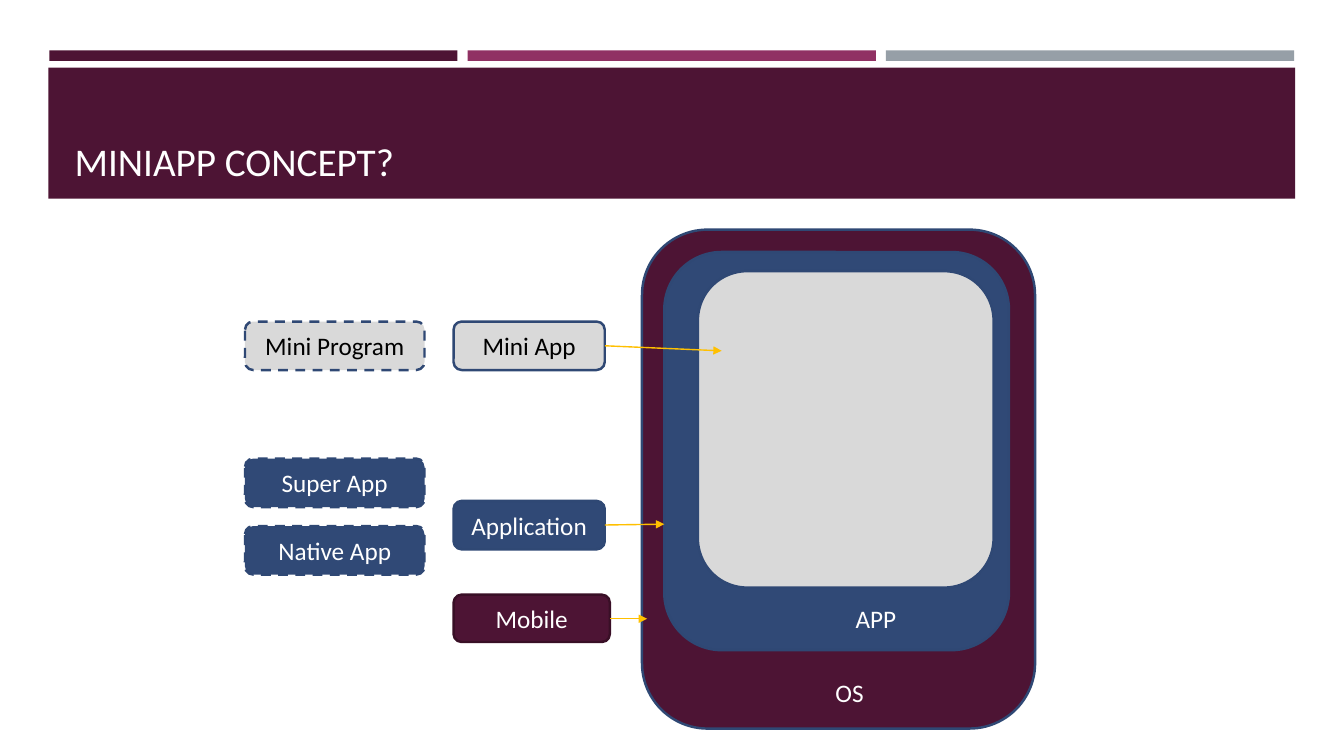
from dataclasses import dataclass

from lxml import etree
from pptx import Presentation
from pptx.dml.color import RGBColor
from pptx.enum.dml import MSO_LINE
from pptx.enum.shapes import MSO_CONNECTOR, MSO_SHAPE
from pptx.enum.text import MSO_ANCHOR, PP_ALIGN
from pptx.oxml.ns import qn
from pptx.util import Pt

RECT, ROUND = MSO_SHAPE.RECTANGLE, MSO_SHAPE.ROUNDED_RECTANGLE
STRAIGHT = MSO_CONNECTOR.STRAIGHT
DASH = MSO_LINE.DASH
MIDDLE, BOTTOM = MSO_ANCHOR.MIDDLE, MSO_ANCHOR.BOTTOM
LEFT, CENTER = PP_ALIGN.LEFT, PP_ALIGN.CENTER


@dataclass(frozen=True)
class Theme:
    plum: str = "4D1434"
    dark: str = "390F26"
    rose: str = "903163"
    slate: str = "969FA7"
    blue: str = "304976"
    edge: str = "2F4874"
    gray: str = "D9D9D9"
    gold: str = "FFC000"
    white: str = "FFFFFF"
    black: str = "000000"
    font: str = "Calibri"
    head: float = 28
    body: float = 18
    border: float = 1.75
    thin: float = 1


THEME = Theme()


@dataclass(frozen=True)
class Box:
    x: float
    y: float
    w: float
    h: float
    fill: str
    edge: str = ""
    text: str = ""
    ink: str = THEME.white
    dashed: bool = False
    kind: int = ROUND


@dataclass(frozen=True)
class Label:
    x: float
    y: float
    w: float
    h: float
    text: str


@dataclass(frozen=True)
class Arrow:
    x1: float
    y1: float
    x2: float
    y2: float


# Header: three equal bars above one band
BAR_X, BAR_W, BAR_STEP = 35.2, 291.6, 298.8
HEADER = [
    Box(BAR_X + i * BAR_STEP, 36, BAR_W, 7.5, tint, kind=RECT)
    for i, tint in enumerate((THEME.plum, THEME.rose, THEME.slate))
] + [Box(34.6, 48.3, 890.6, 93.6, THEME.plum, kind=RECT)]

# Nested layers of the phone
LAYERS = [
    Box(458.6, 164, 280.8, 356.4, THEME.plum, THEME.edge),
    Box(474.5, 180, 246.2, 284.4, THEME.blue, THEME.edge),
    Box(498.5, 193.7, 211.2, 226, THEME.gray, THEME.edge),
]
LABELS = [Label(589.7, 480.2, 38.2, 28.8, "OS"),
          Label(604.1, 427.7, 46.1, 28.8, "APP")]

# Names of the layers: aliases on the left, main terms beside the phone
ALIAS_X, ALIAS_W = 175, 128.2
TERM_X, TERM_W = 324, 108
TAG_H, MINI_Y = 34.6, 229.7
TAGS = [
    Box(TERM_X, 424.8, 111.6, 33.8, THEME.plum, THEME.dark, "Mobile"),
    Box(TERM_X, 357.8, TERM_W, TAG_H, THEME.blue, THEME.edge, "Application"),
    Box(TERM_X, MINI_Y, TERM_W, TAG_H, THEME.gray, THEME.edge,
        "Mini App", THEME.black),
    Box(ALIAS_X, 327.6, ALIAS_W, TAG_H, THEME.blue, THEME.edge,
        "Super App", dashed=True),
    Box(ALIAS_X, 375.8, ALIAS_W, TAG_H, THEME.blue, THEME.edge,
        "Native App", dashed=True),
    Box(ALIAS_X, MINI_Y, ALIAS_W, TAG_H, THEME.gray, THEME.edge,
        "Mini Program", THEME.black, True),
]
ARROWS = [
    Arrow(435.6, 442, 462.2, 442),
    Arrow(432, 375, 474.5, 374.4),
    Arrow(432, 247, 515.5, 250.6),
]


def color(code: str) -> RGBColor:
    return RGBColor.from_string(code)


def write(frame, text: str, size: float, ink: str, align) -> None:
    frame.text = text
    para = frame.paragraphs[0]
    para.alignment = align
    font = para.runs[0].font
    font.name, font.size = THEME.font, Pt(size)
    font.bold = False
    font.color.rgb = color(ink)


def add_box(slide, box: Box) -> None:
    shape = slide.shapes.add_shape(
        box.kind, Pt(box.x), Pt(box.y), Pt(box.w), Pt(box.h))
    shape.shadow.inherit = False
    shape.fill.solid()
    shape.fill.fore_color.rgb = color(box.fill)
    if box.edge:
        shape.line.color.rgb = color(box.edge)
        shape.line.width = Pt(THEME.border)
    else:
        shape.line.fill.background()
    if box.dashed:
        shape.line.dash_style = DASH
    if box.text:
        shape.text_frame.vertical_anchor = MIDDLE
        write(shape.text_frame, box.text, THEME.body, box.ink, CENTER)


def add_label(slide, label: Label) -> None:
    shape = slide.shapes.add_textbox(
        Pt(label.x), Pt(label.y), Pt(label.w), Pt(label.h))
    shape.text_frame.word_wrap = False
    write(shape.text_frame, label.text, THEME.body, THEME.white, LEFT)


def add_arrow(slide, arrow: Arrow) -> None:
    link = slide.shapes.add_connector(
        STRAIGHT, Pt(arrow.x1), Pt(arrow.y1), Pt(arrow.x2), Pt(arrow.y2))
    link.line.color.rgb = color(THEME.gold)
    link.line.width = Pt(THEME.thin)
    props = link.element.spPr
    tip = etree.SubElement(props.find(qn("a:ln")), qn("a:tailEnd"))
    tip.set("type", "triangle")
    etree.SubElement(props, qn("a:effectLst"))


def set_title(slide, text: str) -> None:
    title = slide.shapes.title
    title.left, title.top = Pt(46.1), Pt(55.4)
    title.width, title.height = Pt(868.3), Pt(79.9)
    title.text_frame.vertical_anchor = BOTTOM
    write(title.text_frame, text, THEME.head, THEME.white, LEFT)
    # Bring the title in front of the band
    title.element.getparent().append(title.element)


def main() -> None:
    deck = Presentation()
    deck.slide_width, deck.slide_height = Pt(960), Pt(540)
    slide = deck.slides.add_slide(deck.slide_layouts[5])

    for box in HEADER:
        add_box(slide, box)
    set_title(slide, "MINIAPP CONCEPT?")
    for box in LAYERS:
        add_box(slide, box)
    for label in LABELS:
        add_label(slide, label)
    for box in TAGS:
        add_box(slide, box)
    for arrow in ARROWS:
        add_arrow(slide, arrow)

    deck.save("out.pptx")


if __name__ == "__main__":
    main()
